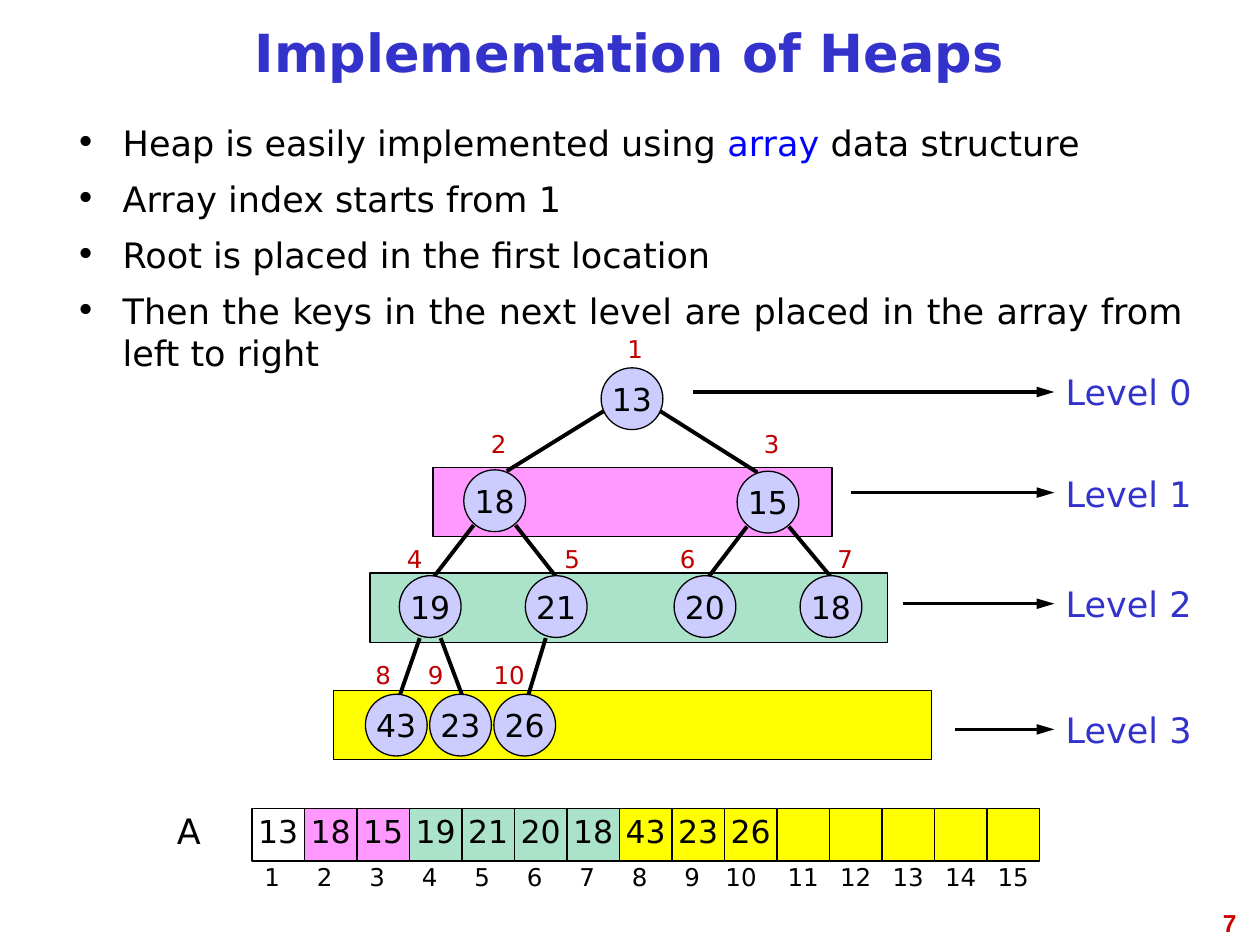
from lxml import etree
from pptx import Presentation
from pptx.dml.color import RGBColor
from pptx.enum import shapes, text
from pptx.oxml import ns
from pptx.util import Pt

BLACK, BLUE, RED = "000000", "3333CC", "C00000"
WHITE, PINK, GREEN, GOLD, LILAC = "FFFFFF", "FF99FF", "AAE2CA", "FFFF00", "CCCCFF"
MID, RIGHT = text.PP_ALIGN.CENTER, text.PP_ALIGN.RIGHT
RECT, OVAL = shapes.MSO_SHAPE.RECTANGLE, shapes.MSO_SHAPE.OVAL


def rgb(code):
    return RGBColor.from_string(code)


def add(parent, tag, **attrs):
    """Append a DrawingML child element."""
    return etree.SubElement(parent, ns.qn(tag), **attrs)


class Pen:
    """Holds the font and the current slide; all lengths are in points."""

    def __init__(self, slide, font="DejaVu Sans"):
        self.slide, self.font = slide, font

    def style(self, para, size, color, align=MID, gap=None, bold=False, font=None):
        para.alignment = align
        if gap:
            para.line_spacing = gap
        para.font.name = font or self.font
        para.font.size = Pt(size)
        para.font.bold = bold
        para.font.color.rgb = rgb(color)

    def fill(self, shape, words, size, color, wrap=False, **look):
        """Write one paragraph, centred in height; unwrapped text has no margins."""
        frame = shape.text_frame
        frame.word_wrap = wrap
        frame.vertical_anchor = text.MSO_ANCHOR.MIDDLE
        if not wrap:
            frame.margin_left = frame.margin_right = Pt(0)
        para = frame.paragraphs[0]
        para.text = words
        self.style(para, size, color, **look)

    def box(self, x, y, w, h):
        return self.slide.shapes.add_textbox(Pt(x), Pt(y), Pt(w), Pt(h))

    def label(self, x, y, w, h, words, size, color, **look):
        self.fill(self.box(x, y, w, h), words, size, color, **look)

    def shape(self, kind, x, y, w, h, color, words="", **look):
        form = self.slide.shapes.add_shape(kind, Pt(x), Pt(y), Pt(w), Pt(h))
        form.shadow.inherit = False
        form.fill.solid()
        form.fill.fore_color.rgb = rgb(color)
        form.line.color.rgb = rgb(BLACK)
        form.line.width = Pt(0.75)
        if words:
            self.fill(form, words, 18, BLACK, **look)

    def line(self, x1, y1, x2, y2, width, arrow=False):
        link = self.slide.shapes.add_connector(
            shapes.MSO_CONNECTOR.STRAIGHT, Pt(x1), Pt(y1), Pt(x2), Pt(y2))
        link.line.color.rgb = rgb(BLACK)
        link.line.width = Pt(width)
        if arrow:
            add(link.line._get_or_add_ln(), "a:tailEnd", type="triangle", w="med", len="lg")
        add(link._element.spPr, "a:effectLst")

    def bullets(self, x, y, w, h, items):
        """Each item is a list of (words, color) runs."""
        frame = self.box(x, y, w, h).text_frame
        frame.word_wrap = True
        for i, item in enumerate(items):
            para = frame.add_paragraph() if i else frame.paragraphs[0]
            self.style(para, 20, BLACK, text.PP_ALIGN.JUSTIFY)
            para.space_before = Pt(8)
            for words, color in item:
                run = para.add_run()
                run.text = words
                if color != BLACK:
                    run.font.color.rgb = rgb(color)
            props = para._p.get_or_add_pPr()
            props.set("marL", str(Pt(27)))
            props.set("indent", str(Pt(-27)))
            base = props.find(ns.qn("a:defRPr"))
            base.addprevious(etree.Element(ns.qn("a:buFont"), typeface=self.font))
            base.addprevious(etree.Element(ns.qn("a:buChar"), char="•"))


KEYS = [13, 18, 15, 19, 21, 20, 18, 43, 23, 26]
SIZE = 35.28  # node diameter
CELL = 30
# left and top of each node, then of its index
NODES = [(343.5, 210.2), (265, 268.5), (421.2, 269.3),
         (228.2, 329), (300.2, 329), (385.2, 329), (457.2, 329),
         (208.8, 396.7), (245.5, 396.7), (282.2, 396.7)]
MARKS = [(348, 186), (270, 240), (426, 240),
         (222, 306), (312, 306), (378, 306), (468, 306),
         (204, 372), (234, 372), (276, 372)]
# per level: start offset across and down, end offset of left and right child
EDGES = [(16, 7, 7, -6), (12, 14, 2, 0), (6, 18, 2, 1)]
# per level: band left, top, width, colour; arrow start and height; label top
LEVELS = [(None, None, None, WHITE, 396, 224, 209),
          (247.5, 267, 228, PINK, 486, 281.5, 267),
          (211.5, 327.5, 295.5, GREEN, 516, 345, 330),
          (190.5, 394.5, 342, GOLD, 546, 416.8, 402)]


def levels(pen):
    for i, (x, y, w, color, start, high, top) in enumerate(LEVELS):
        if x is not None:
            pen.shape(RECT, x, y, w, 39.5, color)
        pen.label(606, top, 78, 30, f"Level {i}", 20, BLUE)
        pen.line(start, high, 602.5, high, 2, arrow=True)


def tree(pen):
    for i in range(1, len(NODES)):
        up = (i - 1) // 2
        side = -1 if i % 2 else 1
        out, down, *ends = EDGES[(up + 1).bit_length() - 1]
        (px, py), (x, y) = NODES[up], NODES[i]
        half = SIZE / 2
        pen.line(px + half + side * out, py + half + down,
                 x + half + ends[side > 0], y + 0.7, 2.25)
    for i, (key, node, mark) in enumerate(zip(KEYS, NODES, MARKS), 1):
        pen.shape(OVAL, *node, SIZE, SIZE, LILAC, str(key))
        pen.label(*mark, CELL, CELL, str(i), 14, RED, gap=0.81)


def array(pen):
    pen.label(84, 462, 48, CELL, "A", 20, BLACK, gap=0.81)
    for i in range(15):
        x = 144 + CELL * i
        color = LEVELS[(i + 1).bit_length() - 1][3]
        key = str(KEYS[i]) if i < len(KEYS) else ""
        pen.shape(RECT, x, 462, CELL, CELL, color, key, gap=0.81)
        shift = -3.5 if i < 9 else -5.5 if i == 9 else 0
        pen.label(x + shift, 487.5, CELL, CELL, str(i + 1), 14, BLACK, gap=0.81)


def main():
    deck = Presentation()
    deck.slide_width, deck.slide_height = Pt(720), Pt(540)
    pen = Pen(deck.slides.add_slide(deck.slide_layouts[6]))
    pen.label(545.8, 512, 167.8, 30, "7", 14, "CC0000", wrap=True,
              align=RIGHT, bold=True, font="Arial")
    levels(pen)
    pen.label(36, 5.8, 647.3, 54, "Implementation of Heaps", 30, BLUE,
              wrap=True, gap=0.81, bold=True)
    pen.bullets(36, 65.8, 647.3, 167, [
        [("Heap is easily implemented using ", BLACK), ("array", "0000FF"),
         (" data structure", BLACK)],
        [("Array index starts from 1", BLACK)],
        [("Root is placed in the first location", BLACK)],
        [("Then the keys in the next level are placed in the array from "
          "left to right", BLACK)]])
    tree(pen)
    array(pen)
    deck.save("out.pptx")


if __name__ == "__main__":
    main()
